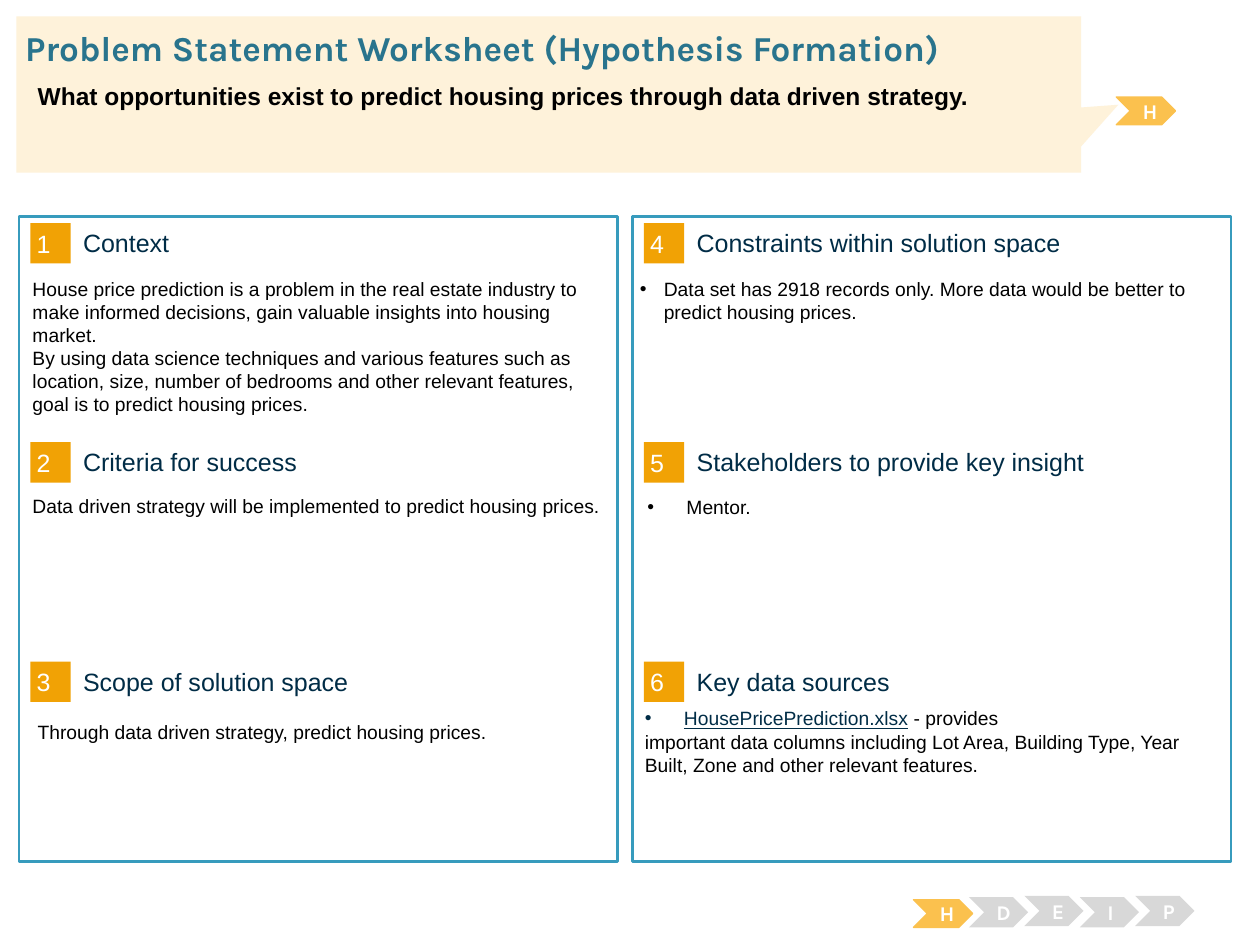
from collections import namedtuple

from lxml import etree
from pptx import Presentation
from pptx.dml.color import RGBColor
from pptx.enum.shapes import MSO_SHAPE as Preset
from pptx.enum.text import MSO_ANCHOR as Anchor, MSO_AUTO_SIZE as AutoSize, PP_ALIGN as Align
from pptx.oxml.ns import qn
from pptx.util import Inches, Pt

WHITE = RGBColor(0xFF, 0xFF, 0xFF)
BLACK = RGBColor(0x00, 0x00, 0x00)
NAVY = RGBColor(0x00, 0x2C, 0x46)
TEAL = RGBColor(0x29, 0x74, 0x8D)
BORDER = RGBColor(0x37, 0x9B, 0xBD)
ORANGE = RGBColor(0xF1, 0xA2, 0x05)
AMBER = RGBColor(0xFB, 0xC1, 0x4E)
CREAM = RGBColor(0xFE, 0xF2, 0xDA)
GREY = RGBColor(0xD8, 0xD8, 0xD8)

BODY = dict(name="Arial", size=Pt(11), color=BLACK)
HEADING = dict(name="Arial", size=Pt(14.3), color=NAVY)
NUMBER = {**HEADING, "color": WHITE}
LINK = {**BODY, "color": NAVY, "underline": True}
QUESTION = dict(name="Arial", size=Pt(14), color=BLACK, bold=True)
TITLE = dict(name="Karla", size=Pt(20), color=TEAL, bold=True)
STEP = dict(name="Karla", size=Pt(12), color=WHITE, bold=True)

PADDED = (0.1, 0.05, 0.1, 0.05)
EVEN = (0.05,) * 4
FLUSH = (0,) * 4

Box = namedtuple("Box", "left top width height")
Section = namedtuple("Section", "heading indent drop bullet paragraphs")

COLUMN_PITCH, ROW_PITCH = 4.87, 1.74
COLUMNS = [
    [
        Section("Context", 0.01, 0.38, None, [
            [("House price prediction is a problem in the real estate industry to make "
              "informed decisions, gain valuable insights into housing market.", BODY)],
            [("By using data science techniques and various features such as location, "
              "size, number of bedrooms and other relevant features, goal is to predict "
              "housing prices.", BODY)]]),
        Section("Criteria for success", 0.01, 0.36, None, [
            [("Data driven strategy will be implemented to predict housing prices.", BODY)]]),
        Section("Scope of solution space", 0.05, 0.42, None, [
            [("Through data driven strategy, predict housing prices.", BODY)]]),
    ],
    [
        Section("Constraints within solution space", -0.04, 0.38, 0.19, [
            [("Data set has 2918 records only. More data would be better to predict "
              "housing prices.", BODY)]]),
        Section("Stakeholders to provide key insight", 0.02, 0.37, 0.31, [
            [("Mentor.", BODY)]]),
        Section("Key data sources", 0, 0.31, 0.31, [
            [("HousePricePrediction.xlsx", LINK), (" - provides", BODY)],
            [("important data columns including Lot Area, Building Type, Year Built, "
              "Zone and other relevant features.", BODY)]]),
    ],
]
STEPS = [("H", 0.03), ("D", 0.01), ("E", 0), ("I", 0.01), ("P", 0)]


def inches(box):
    return [Inches(length) for length in box]


def format_run(run, style):
    for key, setting in style.items():
        if key == "color":
            run.font.color.rgb = setting
        else:
            setattr(run.font, key, setting)


def write(shape, paragraphs, insets, anchor=Anchor.TOP, align=Align.LEFT):
    frame = shape.text_frame
    settings = dict(word_wrap=True, auto_size=AutoSize.NONE, vertical_anchor=anchor)
    for side, inset in zip(("left", "top", "right", "bottom"), insets):
        settings["margin_" + side] = Inches(inset)
    for key, setting in settings.items():
        setattr(frame, key, setting)
    for index, runs in enumerate(paragraphs):
        paragraph = frame.add_paragraph() if index else frame.paragraphs[0]
        paragraph.alignment = align
        for words, style in runs:
            run = paragraph.add_run()
            run.text = words
            format_run(run, style)
    return frame


def add_bullet(paragraph, hang):
    properties = paragraph._p.get_or_add_pPr()
    properties.set("marL", str(Inches(hang)))
    properties.set("indent", str(-Inches(hang)))
    etree.SubElement(properties, qn("a:buFont")).set("typeface", "Arial")
    etree.SubElement(properties, qn("a:buChar")).set("char", "•")


def add_block(slide, preset, box, fill, line=None, weight=0.75):
    block = slide.shapes.add_shape(preset, *inches(box))
    block.shadow.inherit = False
    block.fill.solid()
    block.fill.fore_color.rgb = fill
    if line is None:
        block.line.fill.background()
    else:
        block.line.color.rgb = line
        block.line.width = Pt(weight)
    return block


def add_words(slide, box, paragraphs, insets=PADDED, anchor=Anchor.TOP):
    return write(slide.shapes.add_textbox(*inches(box)), paragraphs, insets, anchor)


def add_section(slide, box, number, section):
    badge = add_block(slide, Preset.RECTANGLE,
                      Box(box.left + 0.09, box.top, 0.32, 0.32), ORANGE)
    write(badge, [[(str(number), NUMBER)]], EVEN, Anchor.MIDDLE)
    add_words(slide, Box(box.left + 0.51, box.top + 0.03, 3.93, 0.25),
              [[(section.heading, HEADING)]], FLUSH, Anchor.MIDDLE)
    answer = add_words(slide, Box(box.left + section.indent, box.top + section.drop,
                                  box.width - 0.02, box.height - section.drop),
                       section.paragraphs)
    if section.bullet:
        add_bullet(answer.paragraphs[0], section.bullet)


def add_column(slide, box, first_number, sections):
    add_block(slide, Preset.RECTANGLE, box, WHITE, BORDER, 1.5)
    for row, section in enumerate(sections):
        cell = Box(box.left, box.top + 0.05 + row * ROW_PITCH, box.width, ROW_PITCH)
        add_section(slide, cell, first_number + row, section)


def add_step(slide, left, top, letter, active):
    box = Box(left, top, 0.47, 0.22 if active else 0.24)
    fill, line = (AMBER, AMBER) if active else (GREY, None)
    chevron = add_block(slide, Preset.CHEVRON, box, fill, line)
    write(chevron, [[(letter, STEP)]], PADDED, Anchor.MIDDLE, Align.CENTER)


def add_step_trail(slide, left, top):
    for index, (letter, drop) in enumerate(STEPS):
        add_step(slide, left + index * 0.44, top + drop, letter, index == 0)


def add_header(slide, box):
    add_step(slide, box.left + box.width + 0.28, box.top + 0.64, "H", True)
    callout = add_block(slide, Preset.RECTANGULAR_CALLOUT, box, CREAM)
    callout.adjustments[0] = 0.535
    callout.adjustments[1] = 0.066
    title = slide.shapes.title
    places = inches(Box(box.left + 0.07, box.top + 0.08, 9.62, 0.34))
    for side, length in zip(Box._fields, places):
        setattr(title, side, length)
    write(title, [[("Problem Statement Worksheet (Hypothesis Formation)", TITLE)]], FLUSH)
    title.element.getparent().append(title.element)
    add_words(slide, Box(box.left + 0.07, box.top + 0.46, 9.39, 0.54),
              [[("What opportunities exist to predict housing prices through "
                 "data driven strategy.", QUESTION)]])


def main():
    deck = Presentation()
    deck.slide_width, deck.slide_height = Inches(10), Inches(7.5)
    slide = deck.slides.add_slide(deck.slide_layouts[5])
    for index, sections in enumerate(COLUMNS):
        panel = Box(0.15 + index * COLUMN_PITCH, 1.72, 4.75, 5.12)
        add_column(slide, panel, 1 + index * len(sections), sections)
    add_step_trail(slide, 7.25, 7.11)
    add_header(slide, Box(0.13, 0.13, 8.45, 1.24))
    deck.save("out.pptx")


if __name__ == "__main__":
    main()
